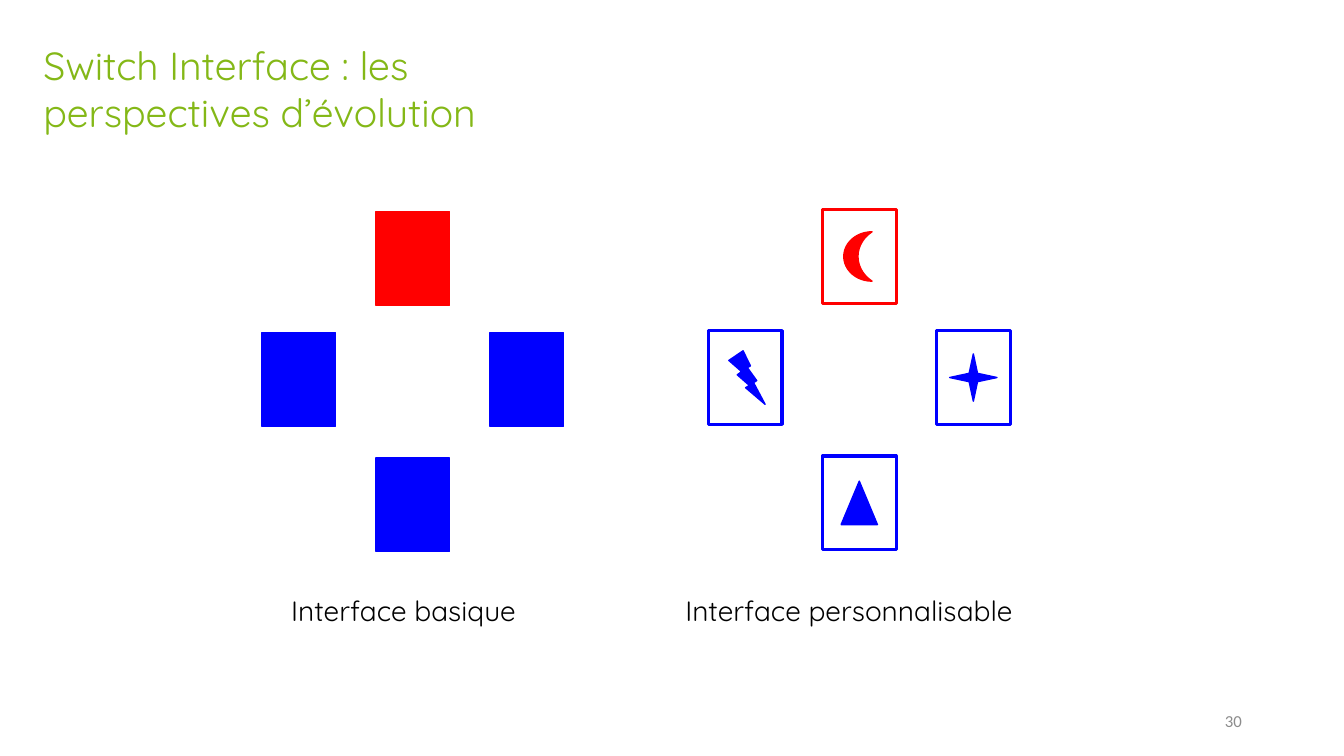
from dataclasses import dataclass
from typing import Optional

from pptx import Presentation
from pptx.dml.color import RGBColor
from pptx.enum.shapes import MSO_SHAPE
from pptx.enum.text import MSO_ANCHOR, MSO_AUTO_SIZE, PP_ALIGN
from pptx.shapes.shapetree import GroupShapes
from pptx.text.text import TextFrame
from pptx.util import Pt

RECT = MSO_SHAPE.RECTANGLE
MOON = MSO_SHAPE.MOON
BOLT = MSO_SHAPE.LIGHTNING_BOLT
STAR = MSO_SHAPE.STAR_4_POINT
TRIANGLE = MSO_SHAPE.ISOSCELES_TRIANGLE
TOP, MIDDLE = MSO_ANCHOR.TOP, MSO_ANCHOR.MIDDLE
LEFT, RIGHT = PP_ALIGN.LEFT, PP_ALIGN.RIGHT
NO_FIT = MSO_AUTO_SIZE.NONE

TITLE_ONLY = 5
RED, BLUE, GREEN, BLACK, GREY = "FF0000", "0000FF", "84B817", "000000", "8C8C8C"
CARD_W, CARD_H = 52.6, 67
CAPTION_TOP, CAPTION_H = 420.5, 31.7


@dataclass
class Card:
    """One switch; dx and dy run from the centre of its pad."""
    dx: float
    dy: float
    color: str
    icon: MSO_SHAPE
    icon_w: float
    icon_h: float
    icon_shift: float = 0


@dataclass
class Pad:
    cx: float
    cy: float
    caption: str
    caption_left: float
    caption_w: float
    has_icons: bool


CARDS = [
    Card(0, -86.5, RED, MOON, 20.2, 35.3, -1),
    Card(0, 89.5, BLUE, TRIANGLE, 25.9, 31),
    Card(81.5, 0, BLUE, STAR, 33.8, 33.8),
    Card(-81.5, 0, BLUE, BOLT, 25.9, 38.2, 1.3),
]
PADS = [
    Pad(613.8, 269.7, "Interface personnalisable", 482.4, 262, True),
    Pad(294.9, 271.1, "Interface basique", 200.9, 188, False),
]


def rgb(color: str) -> RGBColor:
    return RGBColor.from_string(color)


def write(tf: TextFrame, text: str, size: float, color: str,
          font: str = "Quicksand", align: PP_ALIGN = LEFT,
          anchor: MSO_ANCHOR = TOP, wrap: bool = True) -> None:
    tf.auto_size = NO_FIT
    tf.word_wrap = wrap
    tf.vertical_anchor = anchor
    p = tf.paragraphs[0]
    p.text = text
    p.alignment = align
    p.font.name = font
    p.font.size = Pt(size)
    p.font.color.rgb = rgb(color)


def add_centred(shapes: GroupShapes, kind: MSO_SHAPE, cx: float, cy: float,
                w: float, h: float, color: str, fill: Optional[str],
                line_w: float = 1) -> None:
    sp = shapes.add_shape(kind, Pt(cx - w / 2), Pt(cy - h / 2), Pt(w), Pt(h))
    sp.shadow.inherit = False
    if fill:
        sp.fill.solid()
        sp.fill.fore_color.rgb = rgb(fill)
    else:
        sp.fill.background()
    sp.line.color.rgb = rgb(color)
    sp.line.width = Pt(line_w)


def add_pad(shapes: GroupShapes, pad: Pad) -> None:
    for card in CARDS:
        cx, cy = pad.cx + card.dx, pad.cy + card.dy
        if pad.has_icons:
            add_centred(shapes, RECT, cx, cy, CARD_W, CARD_H, card.color, None, 2.25)
            add_centred(shapes, card.icon, cx + card.icon_shift, cy,
                        card.icon_w, card.icon_h, card.color, card.color)
        else:
            add_centred(shapes, RECT, cx, cy, CARD_W, CARD_H, card.color, card.color)
    caption = shapes.add_textbox(Pt(pad.caption_left), Pt(CAPTION_TOP),
                                 Pt(pad.caption_w), Pt(CAPTION_H))
    write(caption.text_frame, pad.caption, 20, BLACK, wrap=False)


def main() -> None:
    prs = Presentation()
    prs.slide_width, prs.slide_height = Pt(960), Pt(540)
    s = prs.slides.add_slide(prs.slide_layouts[TITLE_ONLY])

    title = s.shapes.title
    title.left, title.top = Pt(23.8), Pt(25.9)
    title.width, title.height = Pt(434), Pt(75)
    write(title.text_frame, "Switch Interface : les perspectives d’évolution", 28, GREEN)

    for pad in PADS:
        add_pad(s.shapes.add_group_shape().shapes, pad)

    number = s.shapes.add_textbox(Pt(678.2), Pt(500.4), Pt(216), Pt(28.8))
    write(number.text_frame, "30", 12, GREY, "Calibri", RIGHT, MIDDLE)
    prs.save("out.pptx")


if __name__ == "__main__":
    main()
